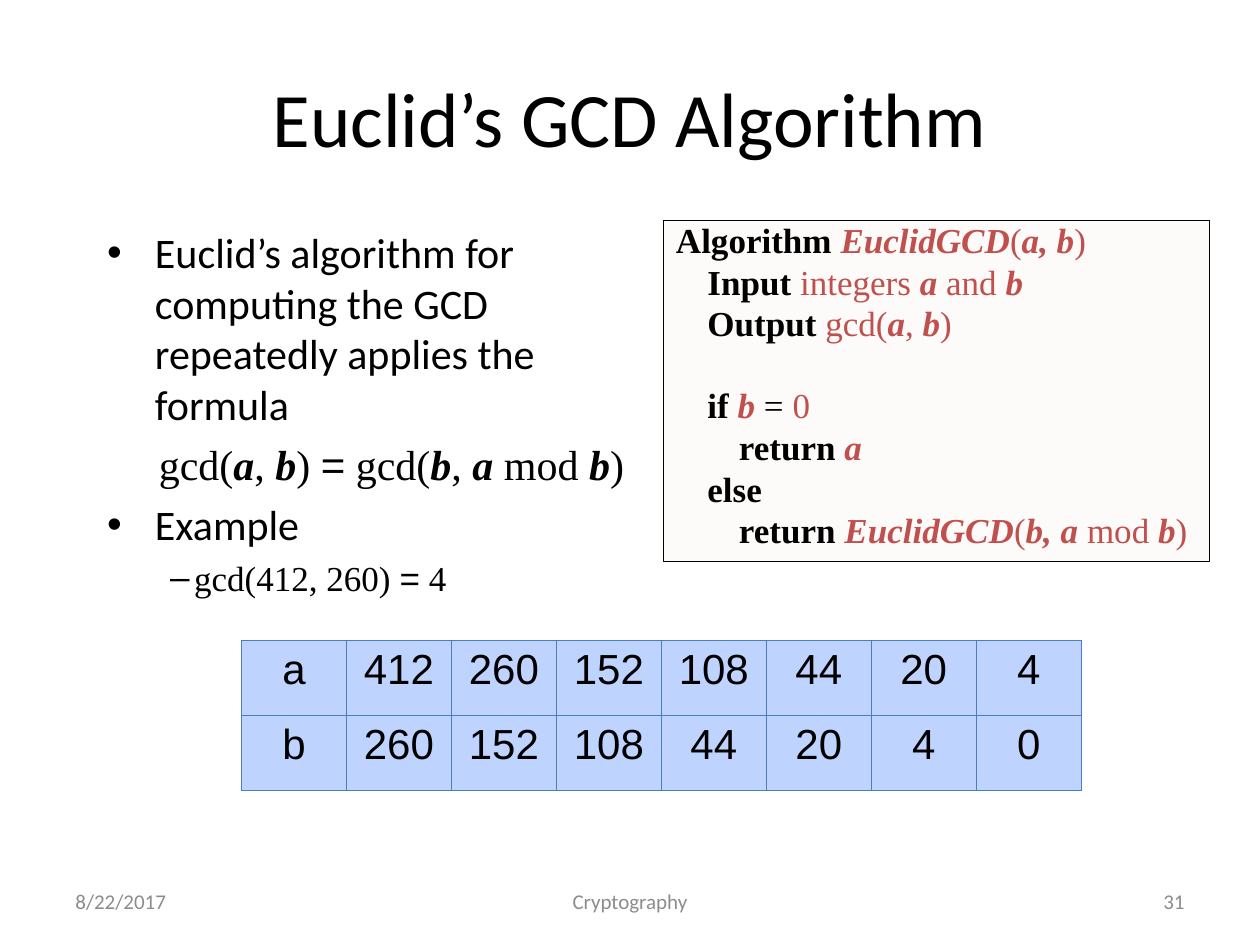
"""Build a slide on Euclid's GCD algorithm with pseudocode and a worked table."""
from dataclasses import dataclass
from typing import Optional

from lxml import etree
from pptx import Presentation
from pptx.dml.color import RGBColor
from pptx.enum.shapes import MSO_SHAPE
from pptx.enum.text import MSO_ANCHOR, MSO_AUTO_SIZE, PP_ALIGN
from pptx.oxml.ns import qn
from pptx.util import Inches, Pt

LEFT, CENTER, RIGHT = PP_ALIGN.LEFT, PP_ALIGN.CENTER, PP_ALIGN.RIGHT
TOP, MIDDLE = MSO_ANCHOR.TOP, MSO_ANCHOR.MIDDLE
NO_FIT = MSO_AUTO_SIZE.NONE
RECTANGLE = MSO_SHAPE.RECTANGLE
WIDTH, HEIGHT = Inches(10), Inches(7.5)
COLUMNS = 120
UNIT = WIDTH / COLUMNS


@dataclass(frozen=True)
class Theme:
    """Colours, fonts and type sizes of the slide."""
    ink: str = "000000"
    accent: str = "C0504D"
    muted: str = "8C8C8C"
    panel: str = "FCFBF9"
    cell: str = "BFD3FF"
    border: str = "4B7EBC"
    sans: str = "Calibri"
    serif: str = "Times New Roman"
    plain: str = "Arial"
    title: float = 44
    body: float = 24
    code: float = 20
    footer: float = 12
    line: float = 0.75


@dataclass(frozen=True)
class Area:
    """A rectangle in grid units."""
    left: float
    top: float
    width: float
    height: float

    def lengths(self) -> tuple:
        """Return the rectangle as slide lengths."""
        return tuple(round(value * UNIT) for value in
                     (self.left, self.top, self.width, self.height))


@dataclass(frozen=True)
class Item:
    """A body paragraph, with variables between asterisks."""
    text: str
    font: str
    size: float
    margin: float = 0.38
    indent: float = 0
    bullet: Optional[str] = None
    align: PP_ALIGN = LEFT
    before: float = 5.6


@dataclass(frozen=True)
class CodeLine:
    """A pseudocode line: keyword, then an expression."""
    depth: int
    keyword: str
    expression: str = ""
    before: float = 4.6


@dataclass(frozen=True)
class Footer:
    """A text at the foot of the slide."""
    text: str
    left: float
    width: float
    align: PP_ALIGN


THEME = Theme()
ITEMS = [
    Item("Euclid’s algorithm for computing the GCD repeatedly applies the formula",
         THEME.sans, THEME.body, indent=-0.38, bullet="•", before=0),
    Item("gcd(*a*, *b*) = gcd(*b*, *a* mod *b*)", THEME.serif, THEME.body, align=CENTER),
    Item("Example", THEME.sans, THEME.body, indent=-0.38, bullet="•"),
    Item("gcd(412, 260) = 4", THEME.serif, THEME.code, 0.69, -0.19, "–", before=4.6),
]
CODE = [
    CodeLine(0, "Algorithm ", "*EuclidGCD*(*a, b*)", before=0),
    CodeLine(1, "Input ", "integers *a* and *b*"),
    CodeLine(1, "Output ", "gcd(*a*, *b*)"),
    CodeLine(1, "if ", "*b *= 0", before=27.6),
    CodeLine(2, "return ", "*a*"),
    CodeLine(1, "else"),
    CodeLine(2, "return ", "*EuclidGCD*(*b, a *mod *b*)"),
]
FOOTERS = [
    Footer("8/22/2017", 6, 28, LEFT),
    Footer("Cryptography", 41, 38, CENTER),
    Footer("31", 86, 28, RIGHT),
]
REMAINDERS = [412, 260, 152, 108, 44, 20, 4, 0]
ROWS = [["a", *REMAINDERS[:-1]], ["b", *REMAINDERS[1:]]]


def place(box, area: Area) -> None:
    """Move a shape to an area."""
    box.left, box.top, box.width, box.height = area.lengths()


def prepare(box, anchor: MSO_ANCHOR):
    """Set the frame of a box and return it."""
    frame = box.text_frame
    frame.word_wrap = True
    frame.auto_size = NO_FIT
    frame.vertical_anchor = anchor
    return frame


def add_span(para, text: str, *, font: str, size: float, color: str = THEME.ink,
             bold: bool = False, italic: bool = False) -> None:
    """Add one formatted run."""
    span = para.add_run()
    span.text = text
    span.font.name, span.font.size = font, Pt(size)
    span.font.bold, span.font.italic = bold, italic
    span.font.color.rgb = RGBColor.from_string(color)


def add_formula(para, text: str, *, size: float, font: str, color: str = THEME.ink,
                equals_font: str = THEME.serif) -> None:
    """Add text with bold italic variables and black equals signs."""
    for index, piece in enumerate(text.split("*")):
        variable = index % 2 == 1
        for part in filter(None, piece.partition("=")):
            sign = part == "="
            add_span(para, part, size=size, font=equals_font if sign else font,
                     color=THEME.ink if sign else color, bold=variable, italic=variable)


def indent(para, margin: float, first: float = 0, bullet: Optional[str] = None) -> None:
    """Set the indents and bullet of a paragraph."""
    properties = para._p.get_or_add_pPr()
    properties.set("marL", str(Inches(margin)))
    properties.set("indent", str(Inches(first)))
    if bullet:
        etree.SubElement(properties, qn("a:buFont")).set("typeface", THEME.plain)
        etree.SubElement(properties, qn("a:buChar")).set("char", bullet)
    else:
        etree.SubElement(properties, qn("a:buNone"))


def paragraphs(frame, count: int) -> list:
    """Return the first paragraph and enough new ones."""
    return [frame.paragraphs[0], *(frame.add_paragraph() for _ in range(count - 1))]


def fill_body(box, items: list[Item]) -> None:
    """Write the list."""
    for para, item in zip(paragraphs(prepare(box, TOP), len(items)), items):
        indent(para, item.margin, item.indent, item.bullet)
        para.alignment, para.space_before = item.align, Pt(item.before)
        add_formula(para, item.text, size=item.size, font=item.font,
                    equals_font=THEME.plain)


def draw_code(page, area: Area, lines: list[CodeLine]) -> None:
    """Draw the pseudocode panel."""
    box = page.shapes.add_shape(RECTANGLE, *area.lengths())
    box.shadow.inherit = False
    box.fill.solid()
    box.fill.fore_color.rgb = RGBColor.from_string(THEME.panel)
    box.line.color.rgb = RGBColor.from_string(THEME.ink)
    box.line.width = Pt(THEME.line)
    for para, line in zip(paragraphs(prepare(box, TOP), len(lines)), lines):
        indent(para, 0.25 * line.depth)
        para.alignment, para.line_spacing = LEFT, 0.8
        para.space_before = Pt(line.before)
        add_span(para, line.keyword, font=THEME.serif, size=THEME.code, bold=True)
        add_formula(para, line.expression, font=THEME.serif, size=THEME.code,
                    color=THEME.accent)


def format_cell(cell) -> None:
    """Give a table cell its borders and fill."""
    properties = cell._tc.get_or_add_tcPr()
    for side in ("lnL", "lnR", "lnT", "lnB"):
        edge = etree.SubElement(properties, qn(f"a:{side}"), w=str(Pt(THEME.line)))
        paint = etree.SubElement(edge, qn("a:solidFill"))
        etree.SubElement(paint, qn("a:srgbClr")).set("val", THEME.border)
    cell.fill.solid()
    cell.fill.fore_color.rgb = RGBColor.from_string(THEME.cell)


def draw_table(page, area: Area, rows: list[list]) -> None:
    """Draw the table of successive values."""
    table = page.shapes.add_table(len(rows), len(rows[0]), *area.lengths()).table
    table.first_row = table.horz_banding = False
    for row, values in enumerate(rows):
        for column, value in enumerate(values):
            cell = table.cell(row, column)
            format_cell(cell)
            para = cell.text_frame.paragraphs[0]
            para.alignment = CENTER
            add_span(para, str(value), font=THEME.plain, size=THEME.body)


def write_line(box, text: str, *, align: PP_ALIGN, size: float, color: str) -> None:
    """Write one vertically centred line."""
    para = prepare(box, MIDDLE).paragraphs[0]
    para.alignment = align
    add_span(para, text, font=THEME.sans, size=size, color=color)


def main() -> None:
    """Build and save the deck."""
    deck = Presentation()
    deck.slide_width, deck.slide_height = WIDTH, HEIGHT
    page = deck.slides.add_slide(deck.slide_layouts[1])
    title, body = page.placeholders
    place(title, Area(6, 3.6, 108, 15))
    write_line(title, "Euclid’s GCD Algorithm", align=CENTER, size=THEME.title,
               color=THEME.ink)
    place(body, Area(9, 21, 52, 39))
    fill_body(body, ITEMS)
    for footer in FOOTERS:
        area = Area(footer.left, 83.4, footer.width, 4.8)
        box = page.shapes.add_textbox(*area.lengths())
        write_line(box, footer.text, align=footer.align, size=THEME.footer,
                   color=THEME.muted)
    draw_table(page, Area(23, 61, 80, 14.28), ROWS)
    draw_code(page, Area(63.2, 21, 52, 32.5), CODE)
    deck.save("out.pptx")


if __name__ == "__main__":
    main()
